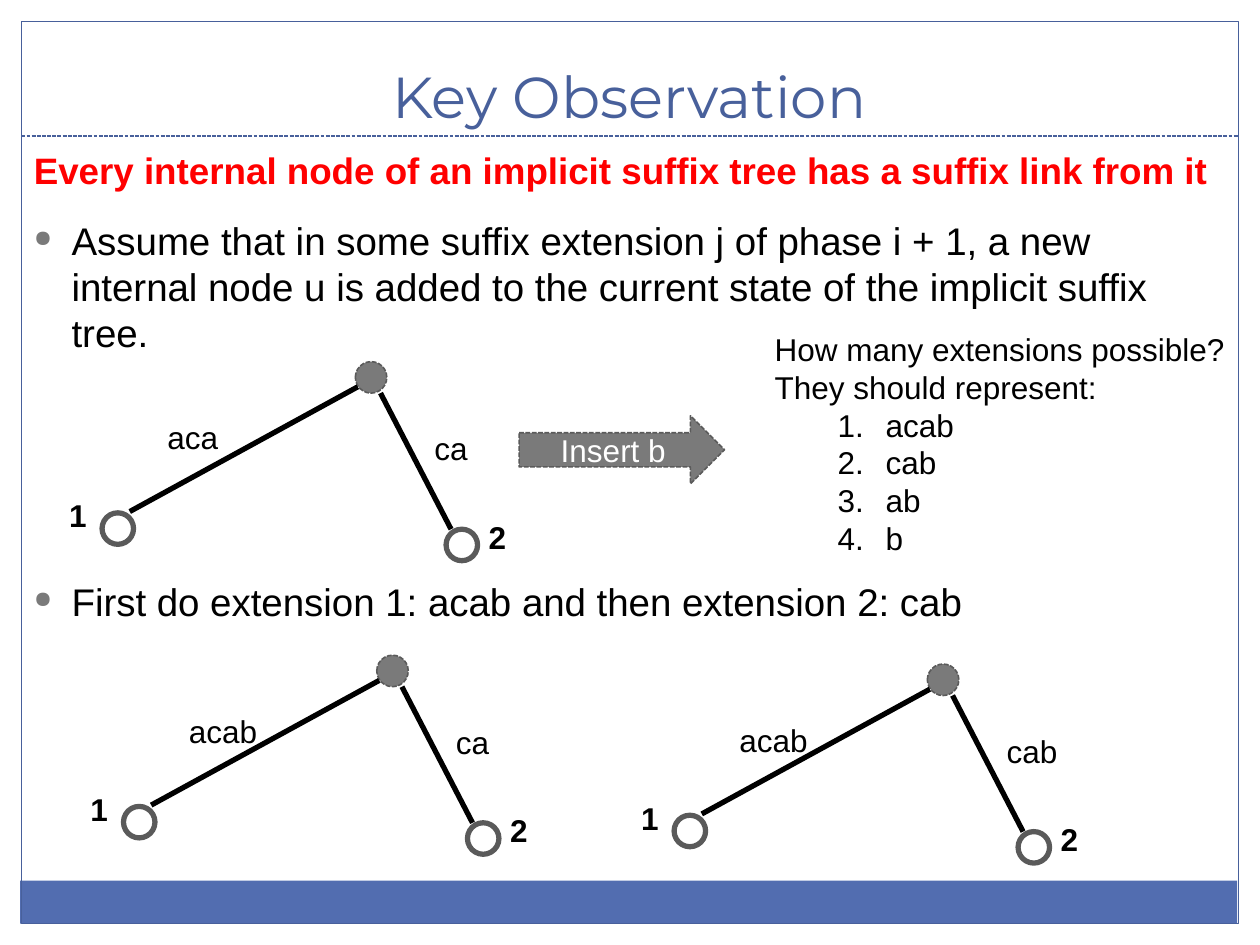
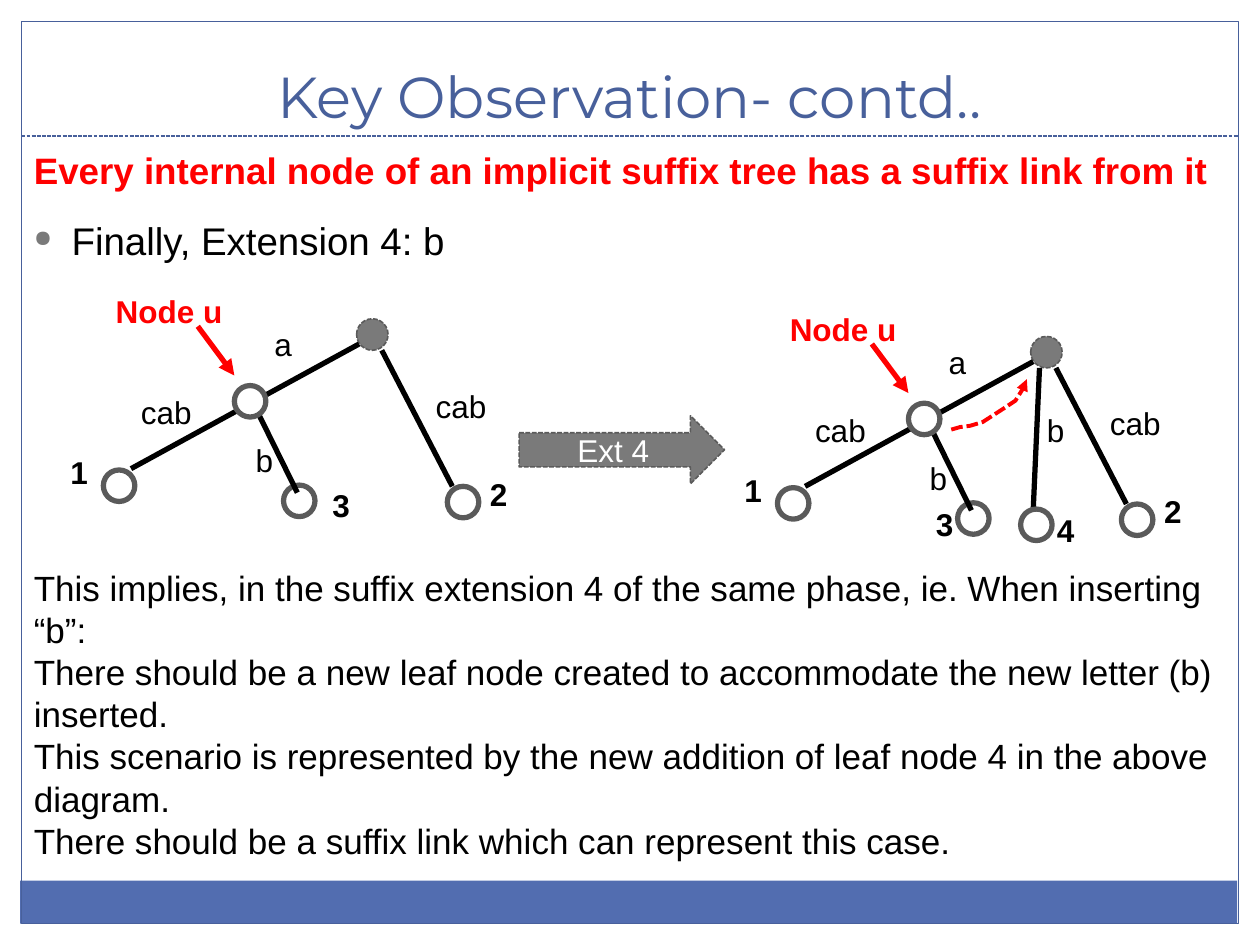
from dataclasses import dataclass

import lxml.etree
import pptx
import pptx.dml.color
import pptx.enum.dml
import pptx.enum.shapes
import pptx.enum.text
import pptx.oxml.ns
import pptx.presentation
import pptx.shapes.autoshape
import pptx.shapes.base
import pptx.slide
import pptx.text.text
import pptx.util

Inches = pptx.util.Inches
Pt = pptx.util.Pt
RGB = pptx.dml.color.RGBColor
Shape = pptx.enum.shapes.MSO_SHAPE
Dash = pptx.enum.dml.MSO_LINE.SQUARE_DOT
Anchor = pptx.enum.text.MSO_ANCHOR
Align = pptx.enum.text.PP_ALIGN
AutoSize = pptx.enum.text.MSO_AUTO_SIZE

BLACK = RGB(0x00, 0x00, 0x00)
WHITE = RGB(0xFF, 0xFF, 0xFF)
RED = RGB(0xFF, 0x00, 0x00)
BLUE = RGB(0x48, 0x60, 0x9B)
BAND_BLUE = RGB(0x52, 0x6D, 0xB0)
GRAY = RGB(0x7A, 0x7A, 0x7A)
DARK_GRAY = RGB(0x5A, 0x5A, 0x5A)

BODY_FONT = "Arial"
TITLE_FONT = "Montserrat"
NODE_SIZE = 0.25
CLAIM = "Every internal node of an implicit suffix tree has a suffix link from it"

Point = tuple[float, float]
Box = tuple[float, float, float, float]


@dataclass(frozen=True)
class Label:
    text: str
    at: Point
    width: float = 0.34
    bold: bool = False
    color: RGB = BLACK


@dataclass(frozen=True)
class Tree:
    """A two-leaf suffix tree, placed by the corner of its root node."""
    root: Point
    left: Label
    right: Label
    has_node_u: bool = False


ACA = Label("aca", (-1.59, 0.4), 0.61)
ACAB = Label("acab", (-1.59, 0.4), 0.75)
CA = Label("ca", (0.53, 0.49), 0.47)
CAB_RIGHT = Label("cab", (0.53, 0.49), 0.61)
CAB_LEFT = Label("cab", (-1.81, 0.54), 0.61)
LEAF_NUMBERS = (Label("1", (-2.37, 1.02), bold=True), Label("2", (0.96, 1.19), bold=True))
NODE_U_LABELS = (
    Label("a", (-0.75, 0)),
    Label("b", (-0.9, 0.92)),
    Label("Node u", (-2.01, -0.26), 1.06, True, RED),
)

EXTENSION_TREES = (
    Tree((2.82, 2.87), ACA, CA),
    Tree((2.99, 5.2), ACAB, CA),
    Tree((7.36, 5.27), ACAB, CAB_RIGHT),
)
BEFORE_EXT_4 = Tree((2.83, 2.53), CAB_LEFT, CAB_RIGHT, True)
AFTER_EXT_4 = Tree((8.18, 2.67), CAB_LEFT, CAB_RIGHT, True)
SUFFIX_LINK = ((7.55, 3.41), (7.62, 3.39), (7.7, 3.38), (7.8, 3.35), (7.97, 3.24),
               (8.06, 3.18), (8.11, 3.1), (8.14, 3.06), (8.15, 3.01))
CONCLUSION = (
    "This implies, in the suffix extension 4 of the same phase, ie. When inserting “b”:",
    "There should be a new leaf node created to accommodate the new letter (b) inserted.",
    "This scenario is represented by the new addition of leaf node 4 in the above diagram.",
    "There should be a suffix link which can represent this case.",
)


def add_xml(parent: lxml.etree._Element, tag: str, **attributes: str) -> lxml.etree._Element:
    return lxml.etree.SubElement(parent, pptx.oxml.ns.qn(tag), attributes)


def style_runs(paragraph: pptx.text.text._Paragraph, size: float, color: RGB = BLACK,
               bold: bool = False, font: str = BODY_FONT) -> None:
    for run in paragraph.runs:
        run.font.name = font
        run.font.size = Pt(size)
        run.font.bold = bold
        run.font.color.rgb = color


def add_text(slide: pptx.slide.Slide, box: Box, lines: tuple[str, ...], size: float,
             color: RGB = BLACK, bold: bool = False,
             wrap: bool = True) -> list[pptx.text.text._Paragraph]:
    frame = slide.shapes.add_textbox(*map(Inches, box)).text_frame
    frame.text = "\n".join(lines)
    frame.word_wrap = wrap
    frame.auto_size = AutoSize.NONE
    for paragraph in frame.paragraphs:
        style_runs(paragraph, size, color, bold)
    return list(frame.paragraphs)


def add_label(slide: pptx.slide.Slide, label: Label, origin: Point = (0, 0)) -> None:
    box = (origin[0] + label.at[0], origin[1] + label.at[1], label.width, 0.4)
    add_text(slide, box, (label.text,), 18, label.color, label.bold, wrap=False)


def indent(paragraph: pptx.text.text._Paragraph, margin: float,
           hanging: float) -> lxml.etree._Element:
    properties = paragraph._p.get_or_add_pPr()
    properties.set("marL", str(Inches(margin)))
    properties.set("indent", str(-Inches(hanging)))
    return properties


def add_bullets(slide: pptx.slide.Slide, lines: tuple[str, ...], gap: float = 4.4) -> None:
    """Write the main points; gap is the space before each point after the first."""
    for i, paragraph in enumerate(add_text(slide, (0.17, 1.67, 9.67, 5.25), lines, 22)):
        paragraph.space_before = Pt(gap if i else 4.4)
        properties = indent(paragraph, 0.3, 0.3)
        add_xml(add_xml(properties, "a:buClr"), "a:srgbClr", val=str(GRAY))
        add_xml(properties, "a:buSzPct", val="60000")
        add_xml(properties, "a:buChar", char="●")


def add_filled(slide: pptx.slide.Slide, kind: Shape, box: Box, fill: RGB | None,
               line: RGB | None, width: float = 0.75,
               dashed: bool = False) -> pptx.shapes.autoshape.Shape:
    shape = slide.shapes.add_shape(kind, *map(Inches, box))
    shape.shadow.inherit = False
    if fill is None:
        shape.fill.background()
    else:
        shape.fill.solid()
        shape.fill.fore_color.rgb = fill
    if line is None:
        shape.line.fill.background()
    else:
        style_line(shape, line, width, dashed)
    return shape


def style_line(shape: pptx.shapes.base.BaseShape, color: RGB, width: float,
               dashed: bool = False, arrow: bool = False) -> None:
    shape.line.color.rgb = color
    shape.line.width = Pt(width)
    if dashed:
        shape.line.dash_style = Dash
    if arrow:
        add_xml(shape.line._get_or_add_ln(), "a:tailEnd", type="triangle")


def add_line(slide: pptx.slide.Slide, start: Point, end: Point, color: RGB = BLACK,
             width: float = 3, dashed: bool = False, arrow: bool = False,
             origin: Point = (0, 0)) -> None:
    ends = [Inches(o + p) for point in (start, end) for o, p in zip(origin, point)]
    line = slide.shapes.add_connector(pptx.enum.shapes.MSO_CONNECTOR.STRAIGHT, *ends)
    style_line(line, color, width, dashed, arrow)
    add_xml(line._element.spPr, "a:effectLst")


def add_node(slide: pptx.slide.Slide, at: Point, origin: Point = (0, 0),
             is_root: bool = False) -> None:
    box = (origin[0] + at[0], origin[1] + at[1], NODE_SIZE, NODE_SIZE)
    add_filled(slide, Shape.OVAL, box, GRAY if is_root else WHITE, DARK_GRAY,
               0.9 if is_root else 3, is_root)


def add_tree(slide: pptx.slide.Slide, tree: Tree) -> None:
    root = tree.root
    add_node(slide, (0, 0), root, is_root=True)
    add_node(slide, (-2.01, 1.2), root)
    add_line(slide, (0.02, 0.2), (-1.79, 1.19), origin=root)
    add_line(slide, (0.2, 0.25), (0.76, 1.33), origin=root)
    add_node(slide, (0.72, 1.33), root)
    for label in (tree.left, tree.right, *LEAF_NUMBERS):
        add_label(slide, label, root)
    if tree.has_node_u:
        add_node(slide, (-0.58, 1.32), root)
        add_line(slide, (-0.83, 0.65), (-0.47, 1.38), origin=root)
        add_node(slide, (-0.97, 0.53), root)
        for label in NODE_U_LABELS:
            add_label(slide, label, root)
        add_line(slide, (-1.26, 0.06), (-0.97, 0.45), RED, arrow=True, origin=root)


def add_suffix_link(slide: pptx.slide.Slide) -> None:
    start, *bends = [tuple(map(Inches, point)) for point in SUFFIX_LINK]
    outline = slide.shapes.build_freeform(*start)
    outline.add_line_segments(bends, close=False)
    suffix_link = outline.convert_to_shape()
    suffix_link.fill.background()
    suffix_link.shadow.inherit = False
    style_line(suffix_link, RED, 2.25, dashed=True, arrow=True)


def add_step_arrow(slide: pptx.slide.Slide, step: str) -> None:
    arrow = add_filled(slide, Shape.RIGHT_ARROW, (4.12, 3.3, 1.63, 0.54), GRAY,
                       DARK_GRAY, 0.9, dashed=True)
    frame = arrow.text_frame
    frame.text = step
    frame.vertical_anchor = Anchor.MIDDLE
    frame.paragraphs[0].alignment = Align.CENTER
    style_runs(frame.paragraphs[0], 18, WHITE)


def add_page(deck: pptx.presentation.Presentation, heading: str) -> pptx.slide.Slide:
    """Add a slide with the frame, bottom band, title and red claim."""
    slide = deck.slides.add_slide(deck.slide_layouts.get_by_name("Title Only"))
    add_filled(slide, Shape.RECTANGLE, (0.16, 6.99, 9.66, 0.34), BAND_BLUE, None)
    add_filled(slide, Shape.RECTANGLE, (0.17, 0.17, 9.66, 7.16), None, BLUE)
    add_line(slide, (0.17, 1.08), (9.83, 1.08), BLUE, 0.75, dashed=True)

    title = slide.shapes.title
    title.left, title.top, title.width, title.height = map(Inches, (0.33, 0.25, 9.33, 0.83))
    frame = title.text_frame
    frame.text = heading
    frame.vertical_anchor = Anchor.BOTTOM
    frame.auto_size = AutoSize.NONE
    frame.paragraphs[0].alignment = Align.CENTER
    style_runs(frame.paragraphs[0], 33, BLUE, font=TITLE_FONT)

    add_text(slide, (0.17, 1.12, 9.67, 0.45), (CLAIM,), 21, RED, bold=True)
    return slide


def build_observation(deck: pptx.presentation.Presentation) -> None:
    slide = add_page(deck, "Key Observation")
    add_bullets(slide, (
        "Assume that in some suffix extension j of phase i + 1, a new internal node u "
        "is added to the current state of the implicit suffix tree.",
        "First do extension 1: acab and then extension 2: cab",
    ), gap=127.5)
    for tree in EXTENSION_TREES:
        add_tree(slide, tree)
    add_step_arrow(slide, "Insert b")
    question = add_text(slide, (6.05, 2.57, 3.78, 2.22), (
        "How many extensions possible?", "They should represent:", "acab", "cab", "ab", "b",
    ), 18)
    for suffix in question[2:]:
        suffix.level = 1
        add_xml(indent(suffix, 0.88, 0.38), "a:buAutoNum", type="arabicPeriod")


def build_continuation(deck: pptx.presentation.Presentation) -> None:
    slide = add_page(deck, "Key Observation- contd..")
    add_bullets(slide, ("Finally, Extension 4: b",))
    add_tree(slide, BEFORE_EXT_4)
    add_step_arrow(slide, "Ext 4")
    add_tree(slide, AFTER_EXT_4)
    add_line(slide, (8.25, 2.92), (8.2, 4.06))
    add_node(slide, (8.1, 4.04))
    for label in (Label("b", (8.21, 3.21)), Label("4", (8.29, 4.01), bold=True),
                  Label("3", (7.33, 3.96), bold=True), Label("3", (2.54, 3.81), bold=True)):
        add_label(slide, label)
    add_text(slide, (0.17, 4.45, 9.67, 2.79), CONCLUSION, 20)
    add_suffix_link(slide)


def main() -> None:
    deck = pptx.Presentation()
    deck.slide_width, deck.slide_height = Inches(10), Inches(7.5)
    build_observation(deck)
    build_continuation(deck)
    deck.save("out.pptx")


if __name__ == "__main__":
    main()
